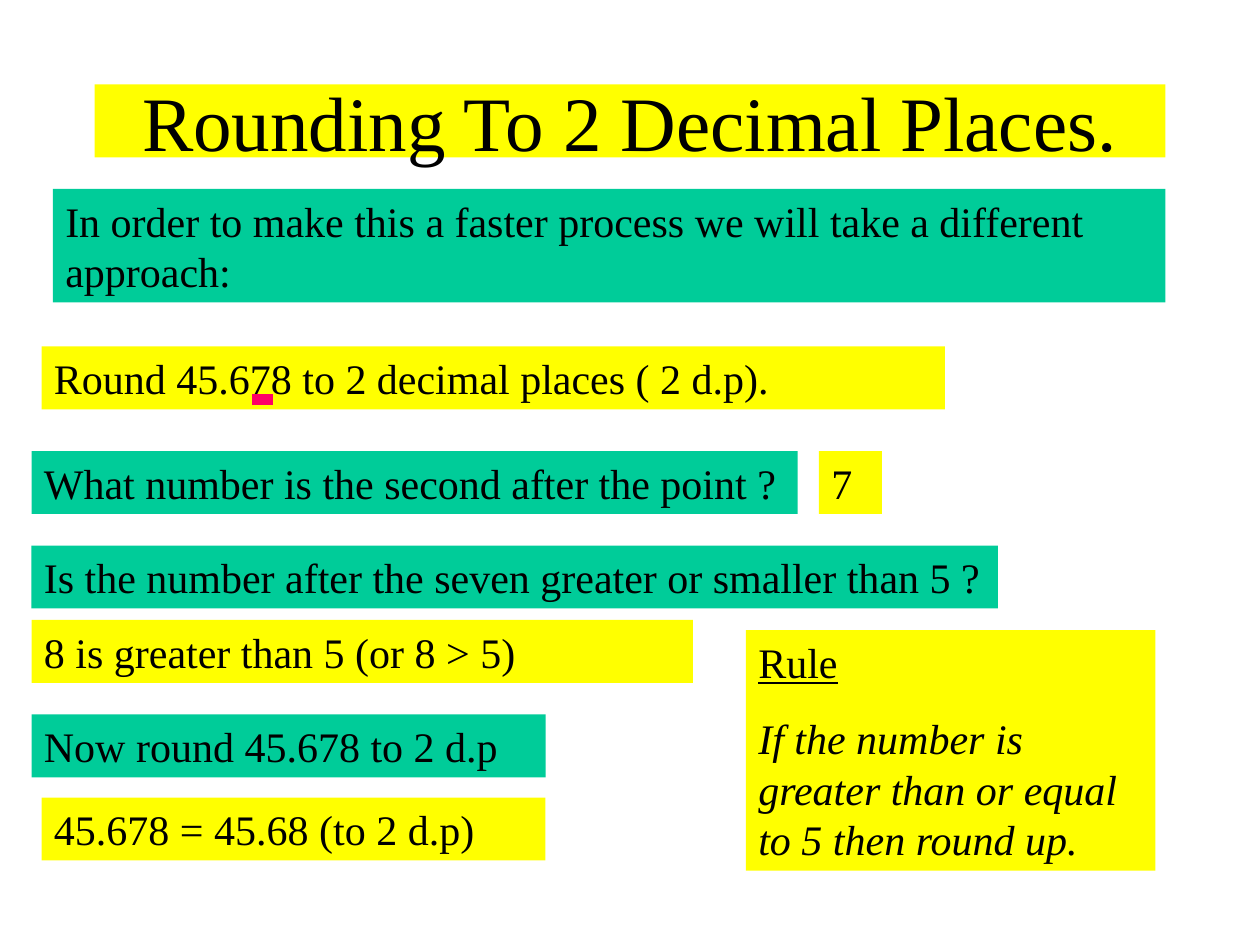
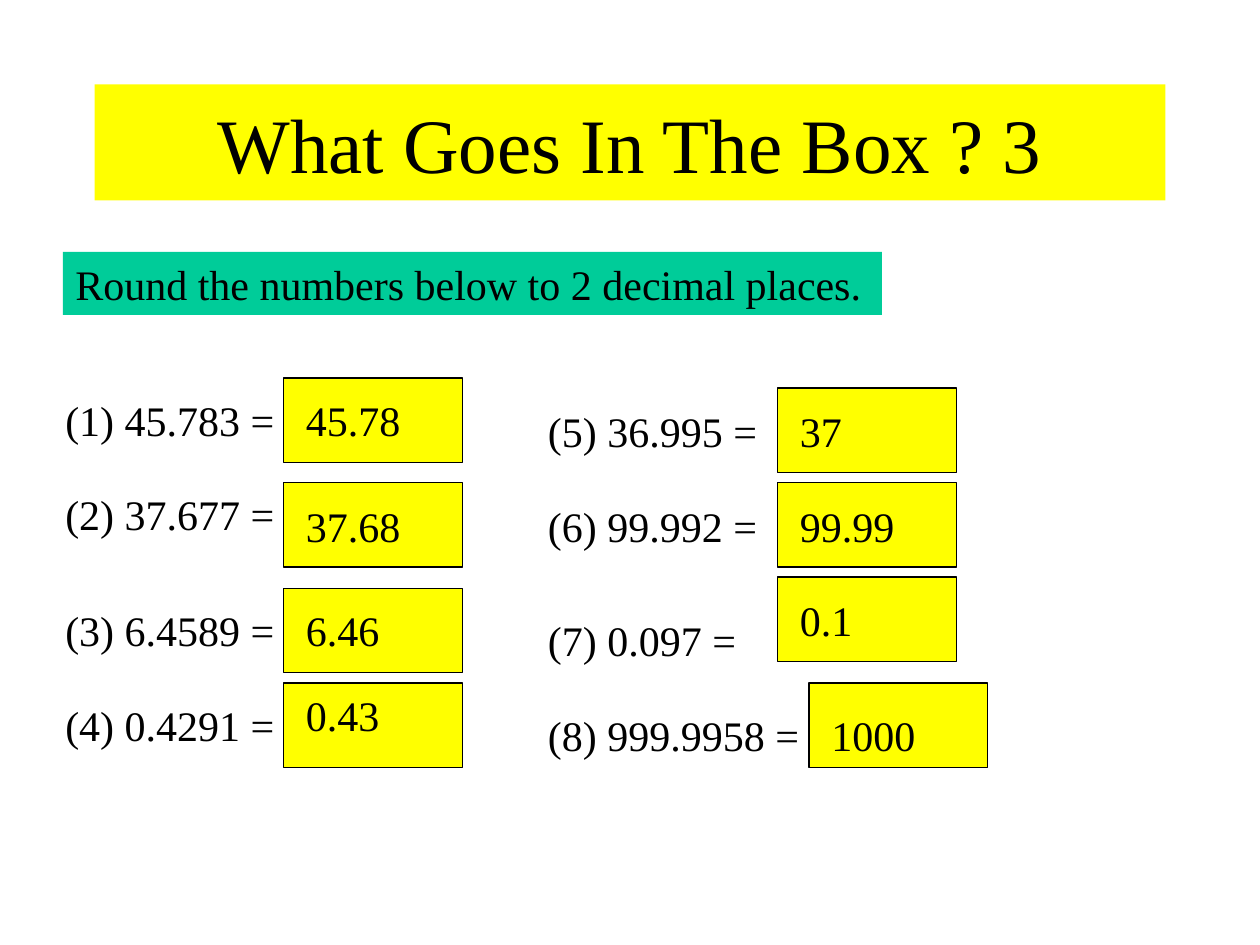
from pptx import Presentation
from pptx.dml.color import RGBColor
from pptx.enum.shapes import MSO_CONNECTOR as Connector, MSO_SHAPE as Shape
from pptx.enum.text import MSO_ANCHOR as Anchor, MSO_AUTO_SIZE as AutoSize, PP_ALIGN as Align
from pptx.oxml.ns import qn
from pptx.util import Inches, Pt
from lxml import etree

YELLOW, GREEN, PINK, BLACK = "FFFF00", "00CC99", "FF0066", "000000"
FONT = "Times New Roman"


def color(value):
    return RGBColor.from_string(value)


def write(para, text, size=24, italic=False, underline=False, align=None, before=0):
    """Add one formatted span of text to a paragraph."""
    para.alignment = align
    para.space_before = Pt(before)
    span = para.add_run()
    span.text = text
    font = span.font
    font.name, font.size = FONT, Pt(size)
    font.italic, font.underline = italic, underline
    font.color.rgb = color(BLACK)


class Lesson:
    """Holds the deck, its style and the current page."""

    def __init__(self):
        self.deck = Presentation()
        self.deck.slide_width, self.deck.slide_height = Inches(10), Inches(7.5)
        self.page = None

    def add_page(self, title, height):
        self.page = self.deck.slides.add_slide(self.deck.slide_layouts[5])
        box = self.page.shapes.title
        box.left, box.top = Inches(0.75), Inches(0.67)
        box.width, box.height = Inches(8.5), Inches(height)
        self.fill(box, YELLOW)
        frame = box.text_frame
        frame.auto_size, frame.vertical_anchor = AutoSize.NONE, Anchor.MIDDLE
        write(frame.paragraphs[0], title, size=44, align=Align.CENTER)

    def fill(self, box, value):
        box.fill.solid()
        box.fill.fore_color.rgb = color(value)

    def text(self, left, top, width, content, fill=None, height=0.5):
        """Add a text box; content is a text or a list of (text, format) pairs."""
        box = self.page.shapes.add_textbox(*map(Inches, (left, top, width, height)))
        if fill:
            self.fill(box, fill)
        frame = box.text_frame
        frame.word_wrap = True
        parts = [(content, {})] if isinstance(content, str) else content
        for index, (text, style) in enumerate(parts):
            para = frame.add_paragraph() if index else frame.paragraphs[0]
            write(para, text, before=15 if index else 0, **style)

    def answer_box(self, left, top):
        box = self.page.shapes.add_shape(
            Shape.RECTANGLE, *map(Inches, (left, top, 1.42, 0.67)))
        box.shadow.inherit = False
        self.fill(box, YELLOW)
        box.line.color.rgb, box.line.width = color(BLACK), Pt(0.75)

    def underscore(self, left, right, y):
        line = self.page.shapes.add_connector(
            Connector.STRAIGHT, *map(Inches, (left, y, right, y)))
        line.line.color.rgb, line.line.width = color(PINK), Pt(6)
        etree.SubElement(line.element.spPr, qn("a:effectLst"))


def add_method_page(lesson):
    lesson.add_page("Rounding To 2 Decimal Places.", 0.58)
    lesson.text(0.42, 1.5, 8.83,
                "In order to make this a faster process we will take a different approach:",
                GREEN, height=0.9)

    # Worked example: questions in green, replies in yellow
    steps = [
        (0.33, 2.75, 7.17, "Round 45.678 to 2 decimal places ( 2 d.p).", YELLOW),
        (0.25, 3.58, 6.08, "What number is the second after the point ?", GREEN),
        (6.5, 3.58, 0.5, "7", YELLOW),
        (0.25, 4.33, 7.67, "Is the number after the seven greater or smaller than 5 ?", GREEN),
        (0.25, 4.92, 5.25, "8 is greater than 5 (or 8 > 5)", YELLOW),
        (0.25, 5.67, 4.08, "Now round 45.678 to 2 d.p", GREEN),
        (0.33, 6.33, 4, "45.678 = 45.68 (to 2 d.p)", YELLOW),
    ]
    for step in steps:
        lesson.text(*step)
    lesson.underscore(2, 2.17, 3.17)

    # Rule
    rule = [("Rule", {"underline": True}),
            ("If the number is greater than or equal to 5 then round up.", {"italic": True})]
    lesson.text(5.92, 5, 3.25, rule, YELLOW, height=1.91)


def add_exercise_page(lesson):
    lesson.add_page("What Goes In The Box ? 3", 0.92)
    lesson.text(0.5, 2, 6.5, "Round the numbers below to 2 decimal places.", GREEN)

    # Each row: question and its top, box left and top, answer and its top
    columns = {
        0.42: [("(1) 45.783 =", 3.08, 2.25, 3, "45.78", 3.08),
               ("(2) 37.677 =", 3.83, 2.25, 3.83, "37.68", 3.92),
               ("(3) 6.4589 =", 4.75, 2.25, 4.67, "6.46", 4.75),
               ("(4) 0.4291 =", 5.5, 2.25, 5.42, "0.43", 5.42)],
        4.25: [("(5) 36.995 =", 3.17, 6.17, 3.08, "37", 3.17),
               ("(6) 99.992 =", 3.92, 6.17, 3.83, "99.99", 3.92),
               ("(7) 0.097 =", 4.83, 6.17, 4.58, "0.1", 4.67),
               ("(8) 999.9958 =", 5.58, 6.42, 5.42, "1000", 5.58)],
    }
    for left, rows in columns.items():
        for question, top, box_left, box_top, answer, answer_top in rows:
            lesson.text(left, top, box_left - left + 0.33, question)
            lesson.answer_box(box_left, box_top)
            lesson.text(box_left + 0.08, answer_top, 1.17, answer)


def main():
    lesson = Lesson()
    add_method_page(lesson)
    add_exercise_page(lesson)
    lesson.deck.save("out.pptx")


if __name__ == "__main__":
    main()
